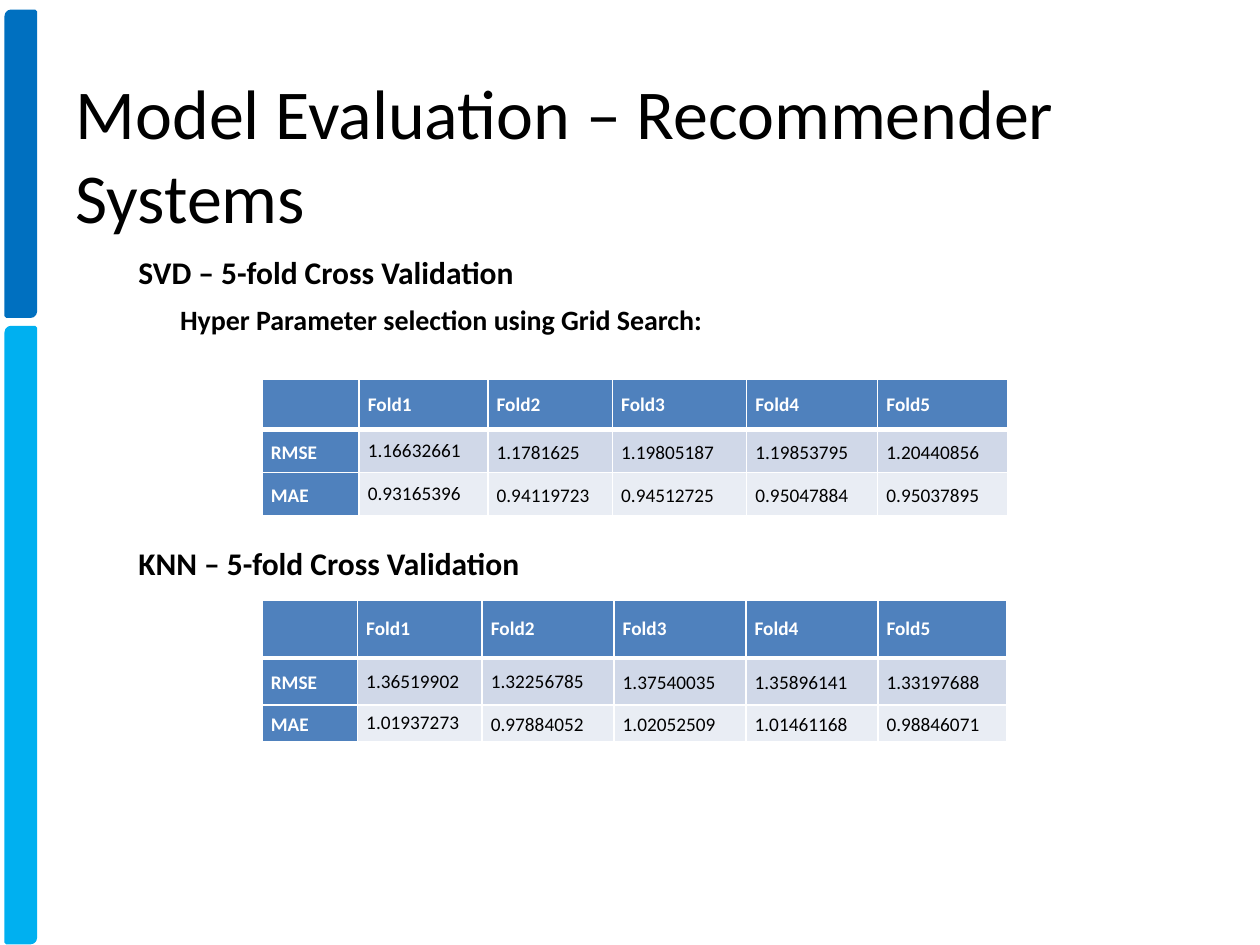
from lxml.etree import SubElement
from pptx import Presentation
from pptx.dml.color import RGBColor
from pptx.enum.shapes import MSO_SHAPE
from pptx.enum.text import MSO_ANCHOR, MSO_AUTO_SIZE, PP_ALIGN
from pptx.oxml.ns import qn
from pptx.util import Pt

TITLE = "Model Evaluation – Recommender Systems"
BARS = [  # top, height, colour
    (6.5, 174.2, "0070C0"),
    (187.2, 351.4, "00B0F0"),
]
LABELS = [  # text, left, top, width, height, size, wrap, level
    ("SVD – 5-fold Cross Validation", 72, 141.1, 231.1, 29, 18, False, 0),
    ("KNN – 5-fold Cross Validation", 72, 307.4, 234.7, 29, 18, False, 0),
    ("Hyper Parameter selection using Grid Search:", 95.8, 169.2, 455, 26.6, 16, True, 2),
]
HEADER = ["", "Fold1", "Fold2", "Fold3", "Fold4", "Fold5"]
TABLES = [
    {
        "top": 216.7,
        "widths": [55.4, 73.6, 71.2, 76.7, 74.9, 74.2],
        "heights": [28.8, 24.5, 24.5],
        "single_spaced": {(1, 1), (2, 1)},
        "rows": [
            HEADER,
            ["RMSE", "1.16632661", "1.1781625", "1.19805187", "1.19853795", "1.20440856"],
            ["MAE", "0.93165396", "0.94119723", "0.94512725", "0.95047884", "0.95037895"],
        ],
    },
    {
        "top": 342.9,
        "widths": [54.5, 71.2, 75.4, 75.4, 75.4, 73.6],
        "heights": [33, 27, 20.9],
        "single_spaced": {(1, 1), (1, 2), (2, 1)},
        "rows": [
            HEADER,
            ["RMSE", "1.36519902", "1.32256785", "1.37540035", "1.35896141", "1.33197688"],
            ["MAE", "1.01937273", "0.97884052", "1.02052509", "1.01461168", "0.98846071"],
        ],
    },
]
TABLE_LEFT = 149.8
HEAD_FILL = "4F81BD"
BAND_FILLS = ["D0D8E8", "E9EDF4"]
BLACK, WHITE = "000000", "FFFFFF"


def color(value):
    return RGBColor.from_string(value)


def write(p, text, size, font_color, bold):
    r = p.add_run()
    r.text = text
    for name, value in {"name": "Calibri", "size": Pt(size), "bold": bold}.items():
        setattr(r.font, name, value)
    r.font.color.rgb = color(font_color)


def add_borders(cell, widths):
    """Draw white cell borders; widths maps a side (L, R, T, B) to points."""
    tc_pr = cell._tc.get_or_add_tcPr()
    for side, width in widths.items():
        ln = SubElement(tc_pr, qn(f"a:ln{side}"), w=str(Pt(width)))
        SubElement(SubElement(ln, qn("a:solidFill")), qn("a:srgbClr"), val=WHITE)


def add_bar(s, top, height, fill):
    sp = s.shapes.add_shape(MSO_SHAPE.ROUND_2_DIAG_RECTANGLE,
                            Pt(3.6), Pt(top), Pt(16.6), Pt(height))
    sp.shadow.inherit = False
    sp.fill.solid()
    sp.fill.fore_color.rgb = sp.line.color.rgb = color(fill)
    sp.line.width = Pt(2)


def add_title(s):
    title = s.shapes.title
    for name, value in {"left": 36, "top": 42.5, "width": 648, "height": 90}.items():
        setattr(title, name, Pt(value))
    tf = title.text_frame
    for name, value in {"vertical_anchor": MSO_ANCHOR.MIDDLE, "word_wrap": True,
                        "auto_size": MSO_AUTO_SIZE.NONE}.items():
        setattr(tf, name, value)
    tf.paragraphs[0].alignment = PP_ALIGN.LEFT
    write(tf.paragraphs[0], TITLE, 40, BLACK, False)


def add_label(s, text, left, top, width, height, size, wrap, level):
    tf = s.shapes.add_textbox(Pt(left), Pt(top), Pt(width), Pt(height)).text_frame
    tf.word_wrap = wrap
    tf.auto_size = MSO_AUTO_SIZE.SHAPE_TO_FIT_TEXT
    p = tf.paragraphs[0]
    p.level = level
    if level:
        p._p.get_or_add_pPr().set("marL", "0")
    write(p, text, size, BLACK, True)


def fill_cell(cell, text, row, col, spaced):
    is_head = row == 0 or col == 0
    add_borders(cell, {"L": 1, "R": 1, "T": 3 if row == 1 else 1, "B": 3 if row == 0 else 1})
    cell.fill.solid()
    cell.fill.fore_color.rgb = color(HEAD_FILL if is_head else BAND_FILLS[row - 1])
    for name, value in {"margin_left": Pt(5), "margin_right": Pt(5), "margin_top": 0,
                        "margin_bottom": 0, "vertical_anchor": MSO_ANCHOR.MIDDLE}.items():
        setattr(cell, name, value)
    p = cell.text_frame.paragraphs[0]
    if spaced:
        p.line_spacing = 1.15
    if text:
        write(p, text, 11, WHITE if is_head else BLACK, is_head)


def add_fold_table(s, top, widths, heights, single_spaced, rows):
    table = s.shapes.add_table(len(heights), len(widths), Pt(TABLE_LEFT), Pt(top),
                               Pt(sum(widths)), Pt(sum(heights))).table
    for column, width in zip(table.columns, widths):
        column.width = Pt(width)
    for i, (height, texts) in enumerate(zip(heights, rows)):
        table.rows[i].height = Pt(height)
        for j, text in enumerate(texts):
            spaced = i > 0 and (i, j) not in single_spaced
            fill_cell(table.cell(i, j), text, i, j, spaced)


def main():
    prs = Presentation()
    prs.slide_width, prs.slide_height = Pt(720), Pt(540)
    s = prs.slides.add_slide(prs.slide_layouts[5])
    for bar in BARS:
        add_bar(s, *bar)
    add_title(s)
    for table in TABLES:
        add_fold_table(s, **table)
    for label in LABELS:
        add_label(s, *label)
    prs.save("out.pptx")


if __name__ == "__main__":
    main()
